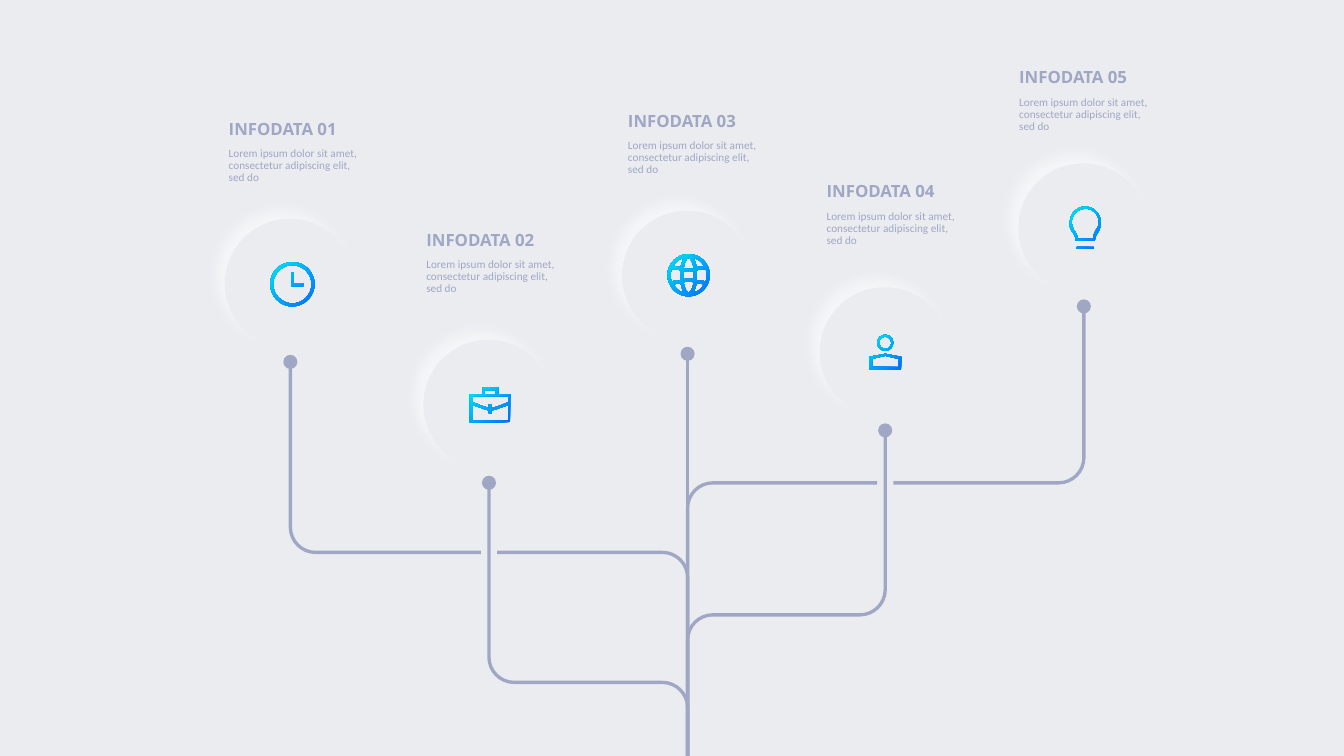
from dataclasses import dataclass
from itertools import cycle, product

from pptx import Presentation
from pptx.dml.color import RGBColor
from pptx.enum.shapes import MSO_CONNECTOR, MSO_SHAPE
from pptx.oxml import parse_xml
from pptx.oxml.ns import nsdecls, qn
from pptx.util import Pt

EMU_PER_PX = 9144  # 100 px to the inch
COLORS = {"ground": "EBECF0", "line": "9FA7C4", "blue": "006EFF",
          "cyan": "00E6F2", "glow": "FFFFFF"}
HEADING = {"name": "Open Sans", "size": Pt(12), "bold": True}
DETAIL = {"name": "Calibri", "size": Pt(8), "bold": False}
LOREM = "Lorem ipsum dolor sit amet, consectetur adipiscing elit, sed do"
WIDTH, HEIGHT = 1333, 750
TRUNK_X, BEND, GAP = 682, 25, 8
DOT, DISC, LABEL_WIDTH, LABEL_MARGIN = 14, 129, 159, 20

# A contour is a start point, then points (x, y) and cubic curves (x1, y1, x2, y2, x, y)
Step = tuple[float, ...]
Contour = list[Step]


@dataclass(frozen=True)
class Node:
    title: str
    x: int
    dot_y: int
    label_left: int
    label_top: int
    bend_y: int | None = None      # None: the trunk itself
    crossing_x: int | None = None  # stem that this branch passes behind


NODES = [
    Node("INFODATA 01", 288, 359, 217, 115, 548, 485),
    Node("INFODATA 02", 485, 479, 413, 225, 677),
    Node("INFODATA 03", 682, 351, 613, 107),
    Node("INFODATA 04", 878, 427, 810, 177, 610),
    Node("INFODATA 05", 1075, 304, 1001, 64, 479, 878),
]


def px(value: float) -> int:
    return round(value * EMU_PER_PX)


def rgb(name: str) -> RGBColor:
    return RGBColor.from_string(COLORS[name])


# Geometry
def moved(contour: Contour, x: int, y: int, sx: int = 1, sy: int = 1) -> Contour:
    """Mirror a contour by the signs sx and sy, then shift it by x and y."""
    return [tuple(shift + sign * value
                  for value, (shift, sign) in zip(step, cycle([(x, sx), (y, sy)])))
            for step in contour]


def circle(x: int, y: int, radius: int) -> Contour:
    r, k = radius, 0.55 * radius
    return moved([(r, 0), (r, k, k, r, 0, r), (-k, r, -r, k, -r, 0),
                  (-r, -k, -k, -r, 0, -r), (k, -r, r, -k, r, 0)], x, y)


def rounded(corners: Contour) -> Contour:
    """Replace every inner corner by a quarter arc of radius BEND."""
    def toward(corner: Step, other: Step, distance: float) -> Step:
        return tuple(c + distance * ((o > c) - (o < c)) for c, o in zip(corner, other))

    steps = [corners[0]]
    for before, corner, after in zip(corners, corners[1:], corners[2:]):
        steps += [toward(corner, before, BEND),
                  toward(corner, before, BEND * 0.45) + toward(corner, after, BEND * 0.45)
                  + toward(corner, after, BEND)]
    return [*steps, corners[-1]]


def globe(x: int, y: int) -> list[Contour]:
    corner = [(5, 17), (6, 15, 7, 12, 8, 8), (10, 8, 13, 9, 15, 9), (13, 13, 10, 16, 5, 17)]
    side = [(18, 0), (18, 3, 17, 5, 17, 6), (14, 6, 11, 5, 8, 5), (8, -5),
            (11, -5, 14, -6, 17, -6), (17, -5, 18, -3, 18, 0)]
    cap = [(0, 17), (2, 17, 4, 13, 5, 7), (2, 6, -2, 6, -5, 7), (-4, 13, -2, 17, 0, 17)]
    middle = [(-5, 4), (-5, -4), (-2, -3, 2, -3, 5, -4), (5, 4), (2, 3, -2, 3, -5, 4)]
    panes = [(corner, sx, sy) for sx, sy in product((1, -1), repeat=2)]
    panes += [(side, s, 1) for s in (1, -1)] + [(cap, 1, s) for s in (1, -1)]
    panes.append((middle, 1, 1))
    return [circle(x, y, 21)] + [moved(pane, x, y, sx, sy) for pane, sx, sy in panes]


ICONS = {
    "briefcase": [
        [(506, 391), (494, 391), (494, 384), (479, 384), (479, 391), (466, 391),
         (466, 419), (506, 419)],
        [(481, 387), (492, 387), (492, 391), (481, 391)],
        [(469, 393), (504, 393), (504, 399), (494, 403), (492, 404, 490, 404, 488, 404),
         (488, 401), (485, 401), (485, 404), (483, 404, 481, 404, 479, 403), (469, 399)],
        [(469, 417), (469, 402), (478, 405), (480, 406, 483, 407, 485, 407), (485, 410),
         (488, 410), (488, 407), (490, 407, 493, 406, 495, 405), (504, 402), (504, 417)],
    ],
    "bulb": [
        [(1068, 245), (1085, 245), (1085, 247), (1068, 247)],
        [(1086, 239), (1067, 239), (1067, 238), (1067, 236, 1066, 234, 1063, 229),
         (1061, 227, 1061, 224, 1061, 221), (1061, 212, 1068, 205, 1076, 205),
         (1085, 205, 1092, 212, 1092, 221), (1092, 224, 1091, 227, 1090, 229),
         (1087, 234, 1086, 236, 1086, 238)],
        [(1069, 237), (1084, 237), (1084, 234, 1085, 232, 1087, 228),
         (1089, 226, 1090, 223, 1090, 221), (1090, 213, 1084, 207, 1076, 207),
         (1069, 207, 1063, 213, 1063, 221), (1063, 223, 1064, 226, 1065, 228),
         (1068, 232, 1069, 234, 1069, 237)],
    ],
    "person": [
        [(894, 354), (878, 351), (862, 354), (862, 367), (894, 367)],
        [(891, 364), (865, 364), (865, 356), (878, 353), (891, 356)],
        circle(878, 340, 8), circle(878, 340, 6),
    ],
    "globe": globe(683, 273),
    "clock": [
        circle(290, 282, 22), circle(290, 282, 19),
        [(301, 284), (289, 284), (289, 270), (291, 270), (291, 281), (301, 281)],
    ],
}


# Drawing
def add_outline(slide, contours: list[Contour], close: bool):
    builder = slide.shapes.build_freeform(*map(px, contours[0][0]))
    for index, (start, *steps) in enumerate(contours):
        if index:
            builder.move_to(*map(px, start))
        vertices = [(px(step[i]), px(step[i + 1])) for step in steps
                    for i in range(0, len(step), 2)]
        builder.add_line_segments(vertices, close=close)
    shape = builder.convert_to_shape()
    shape.shadow.inherit = False
    # Join the three vertices of each curve into one cubic segment
    segments = iter(list(shape._element.iter(qn("a:lnTo"))))
    for step in (step for contour in contours for step in contour[1:]):
        segment = next(segments)
        if len(step) == 6:
            segment.tag = qn("a:cubicBezTo")
            for extra in (next(segments), next(segments)):
                segment.append(extra[0])
                extra.getparent().remove(extra)
    return shape


def style_line(line) -> None:
    line.color.rgb = rgb("line")
    line.width = Pt(2.38)


def add_branch(slide, node: Node) -> None:
    if node.bend_y is None:
        ends = map(px, (node.x, node.dot_y, node.x, HEIGHT))
        trunk = slide.shapes.add_connector(MSO_CONNECTOR.STRAIGHT, *ends)
        trunk._element.spPr.append(parse_xml(f"<a:effectLst {nsdecls('a')}/>"))
        style_line(trunk.line)
        return
    start, bend = (node.x, node.dot_y), (node.x, node.bend_y)
    finish = [(TRUNK_X, node.bend_y), (TRUNK_X, HEIGHT)]
    runs = [[start, bend, *finish]]
    if node.crossing_x is not None:
        gap = GAP if node.x < TRUNK_X else -GAP
        runs = [[start, bend, (node.crossing_x - gap, node.bend_y)],
                [(node.crossing_x + gap, node.bend_y), *finish]]
    for corners in runs:
        branch = add_outline(slide, [rounded(corners)], close=False)
        branch.fill.background()
        style_line(branch.line)


def add_round(slide, left: int, top: int, size: int, color: str):
    shape = slide.shapes.add_shape(MSO_SHAPE.OVAL, *map(px, (left, top, size, size)))
    shape.shadow.inherit = False
    shape.fill.solid()
    shape.fill.fore_color.rgb = rgb(color)
    shape.line.fill.background()
    return shape


def add_disc(slide, node: Node) -> None:
    disc = add_round(slide, node.x - 65, node.dot_y - 142, DISC, "ground")
    disc._element.spPr.find(qn("a:effectLst")).append(parse_xml(
        f'<a:outerShdw {nsdecls("a")} blurRad="{Pt(9)}" dist="{Pt(9)}" dir="13500000" '
        f'algn="ctr" rotWithShape="0"><a:srgbClr val="{COLORS["glow"]}">'
        '<a:alpha val="56000"/></a:srgbClr></a:outerShdw>'))


def add_label(slide, text: str, left: int, top: int, height: int, formats: dict) -> None:
    box = slide.shapes.add_textbox(*map(px, (left, top, LABEL_WIDTH, height)))
    box.text_frame.word_wrap = True
    box.text_frame.margin_right = px(LABEL_MARGIN)
    paragraph = box.text_frame.paragraphs[0]
    paragraph.text = text
    paragraph.line_spacing = 0.9
    for name, value in formats.items():
        setattr(paragraph.font, name, value)
    paragraph.font.color.rgb = rgb("line")


def add_icon(slide, contours: list[Contour]) -> None:
    icon = add_outline(slide, contours, close=True)
    icon.line.fill.background()
    icon.fill.gradient()
    icon.fill.gradient_angle = 135
    for stop, color in zip(icon.fill.gradient_stops, ("blue", "cyan")):
        stop.color.rgb = rgb(color)


def main() -> None:
    presentation = Presentation()
    presentation.slide_width, presentation.slide_height = px(WIDTH), px(HEIGHT)
    slide = presentation.slides.add_slide(presentation.slide_layouts[6])
    slide.background.fill.solid()
    slide.background.fill.fore_color.rgb = rgb("ground")

    # Tree, labels, discs, icons
    for node in NODES:
        add_branch(slide, node)
        add_round(slide, node.x - DOT // 2, node.dot_y - DOT // 2, DOT, "line")
    for node in NODES:
        add_label(slide, LOREM, node.label_left, node.label_top + 27, 58, DETAIL)
        add_label(slide, node.title, node.label_left, node.label_top, 30, HEADING)
    for node in NODES:
        add_disc(slide, node)
    for contours in ICONS.values():
        add_icon(slide, contours)
    presentation.save("out.pptx")


if __name__ == "__main__":
    main()
